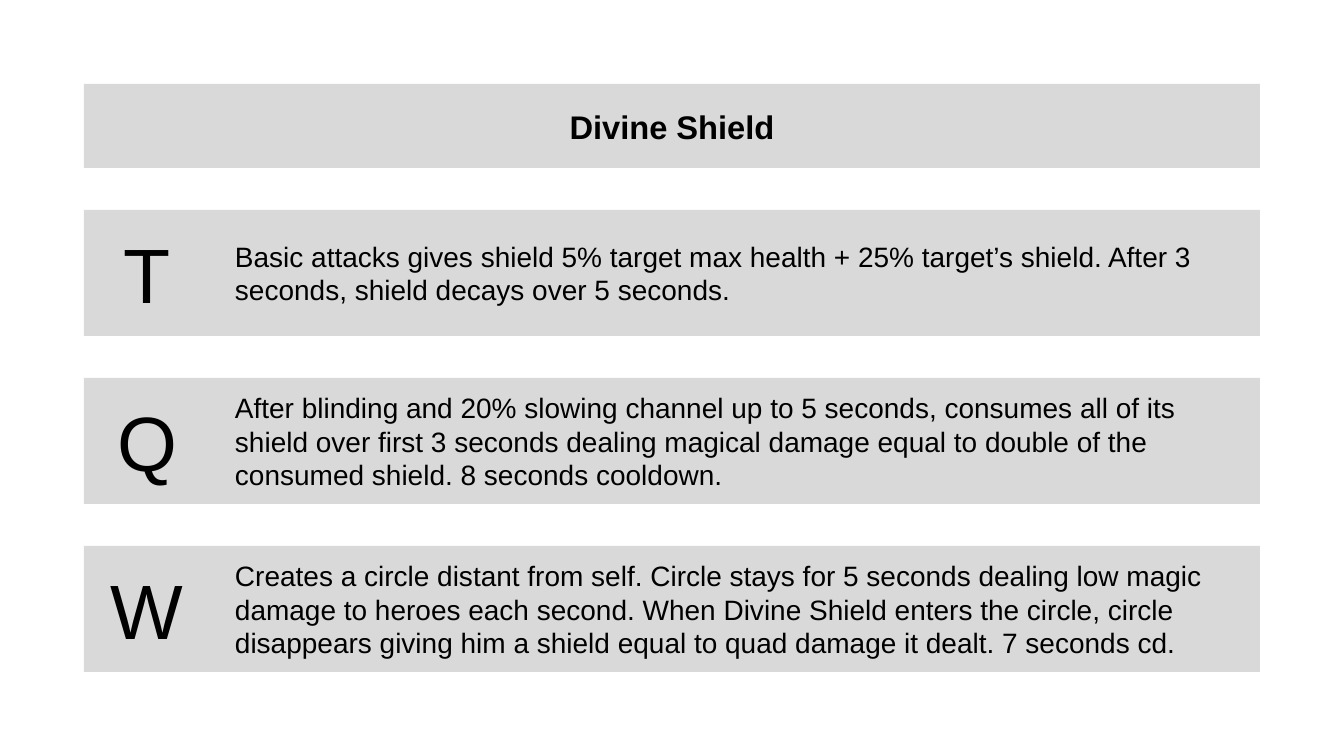
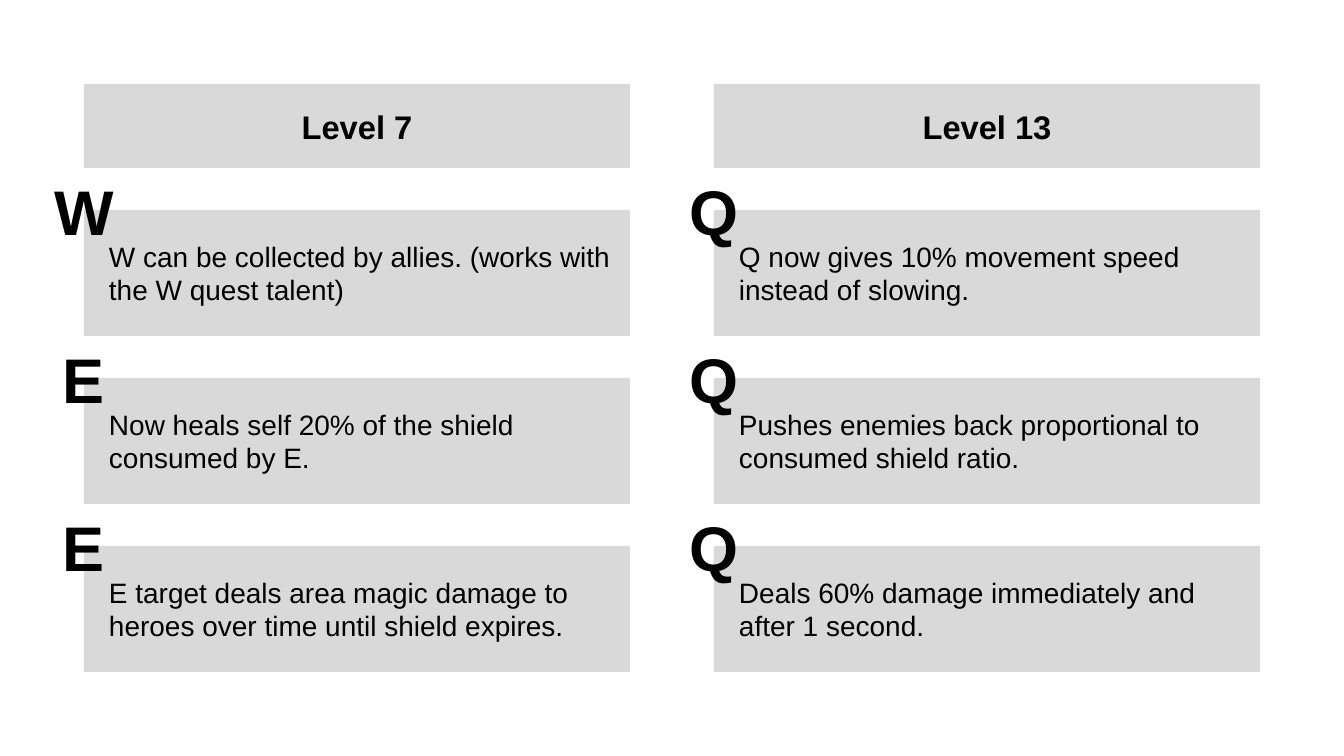
from pptx import Presentation
from pptx.dml.color import RGBColor
from pptx.enum.shapes import MSO_SHAPE as Shape
from pptx.enum.text import MSO_ANCHOR as Anchor, PP_ALIGN as Align
from pptx.util import Emu, Pt

GREY = RGBColor(0xD9, 0xD9, 0xD9)
BLACK = RGBColor(0, 0, 0)
FONT = "Arial"
SCALE = 914400 / 84
WIDTH, HEIGHT = 1344, 756
EDGE, TOP = 84, 84
HEAD, ROW, GAP = 84, 126, 42
INSET = 25
BADGE = 84

SKILLS = [
    ("T", "Basic attacks gives shield 5% target max health + 25% target’s shield. "
          "After 3 seconds, shield decays over 5 seconds."),
    ("Q", "After blinding and 20% slowing channel up to 5 seconds, consumes all of "
          "its shield over first 3 seconds dealing magical damage equal to double "
          "of the consumed shield. 8 seconds cooldown."),
    ("W", "Creates a circle distant from self. Circle stays for 5 seconds dealing "
          "low magic damage to heroes each second. When Divine Shield enters the "
          "circle, circle disappears giving him a shield equal to quad damage it "
          "dealt. 7 seconds cd."),
]
LEVELS = [
    ("Level 7", [
        ("W", "W can be collected by allies. (works with the W quest talent)"),
        ("E", "Now heals self 20% of the shield consumed by E."),
        ("E", "E target deals area magic damage to heroes over time until shield expires."),
    ]),
    ("Level 13", [
        ("Q", "Q now gives 10% movement speed instead of slowing."),
        ("Q", "Pushes enemies back proportional to consumed shield ratio."),
        ("Q", "Deals 60% damage immediately and after 1 second."),
    ]),
]


def px(n):
    """Turn pixels into EMU."""
    return Emu(round(n * SCALE))


def write(shape, text, size=24, bold=False, align=Align.CENTER, inset=None):
    """Set the text of a shape, centred vertically."""
    frame = shape.text_frame
    frame.word_wrap = True
    frame.vertical_anchor = Anchor.MIDDLE
    if inset is not None:
        frame.margin_left = px(inset)
    para = frame.paragraphs[0]
    para.alignment = align
    run = para.add_run()
    run.text = text
    font = run.font
    font.name, font.size, font.bold = FONT, Pt(size), bold
    font.color.rgb = BLACK


def panel(slide, box, text, **style):
    """Draw a grey panel with text."""
    shape = slide.shapes.add_shape(Shape.RECTANGLE, *map(px, box))
    shape.shadow.inherit = False
    shape.fill.solid()
    shape.fill.fore_color.rgb = GREY
    shape.line.fill.background()
    write(shape, text, **style)


def title(slide, x, width, text):
    """Draw the heading band of a column."""
    panel(slide, (x, TOP, width, HEAD), text, size=28, bold=True)


def detail(slide, box, text):
    """Draw a panel with a left-aligned description."""
    panel(slide, box, text, align=Align.LEFT, inset=INSET)


def badge(slide, x, y, key):
    """Centre a bold key letter on a point."""
    box = (x - BADGE // 2, y - BADGE // 2, BADGE, BADGE)
    write(slide.shapes.add_textbox(*map(px, box)), key, size=54, bold=True)


def row_top(i):
    """Give the top of a row below the heading."""
    return TOP + HEAD + GAP + i * (ROW + GAP)


def hero(slide, name, skills):
    """Lay out a hero with one row per skill."""
    width = WIDTH - 2 * EDGE
    title(slide, EDGE, width, name)
    for i, (key, text) in enumerate(skills):
        y = row_top(i)
        detail(slide, (EDGE + ROW, y, width - ROW, ROW), text)
        panel(slide, (EDGE, y, ROW, ROW), key, size=66)


def talents(slide, x, width, name, perks):
    """Lay out one level column of talents."""
    title(slide, x, width, name)
    for i, (key, text) in enumerate(perks):
        y = row_top(i)
        detail(slide, (x, y, width, ROW), text)
        badge(slide, x, y, key)


def main():
    """Build both slides and save them."""
    deck = Presentation()
    deck.slide_width, deck.slide_height = px(WIDTH), px(HEIGHT)
    blank = deck.slide_layouts[6]
    hero(deck.slides.add_slide(blank), "Divine Shield", SKILLS)
    slide = deck.slides.add_slide(blank)
    width = (WIDTH - 3 * EDGE) // 2
    for i, (name, perks) in enumerate(LEVELS):
        talents(slide, EDGE + i * (width + EDGE), width, name, perks)
    deck.save("out.pptx")


main()
